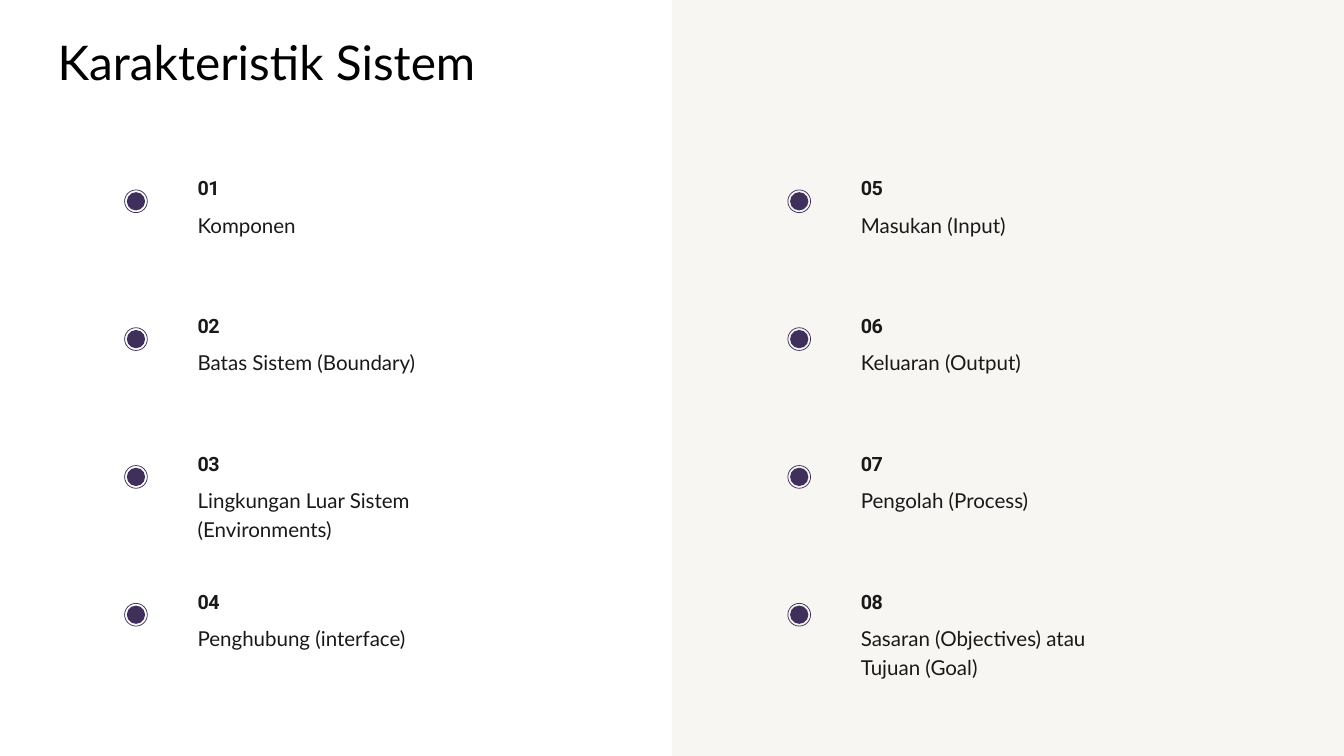
from pptx import Presentation
from pptx.dml.color import RGBColor
from pptx.enum.shapes import MSO_SHAPE
from pptx.enum.text import MSO_AUTO_SIZE
from pptx.util import Cm, Pt

RECTANGLE = MSO_SHAPE.RECTANGLE
OVAL = MSO_SHAPE.OVAL
GROW = MSO_AUTO_SIZE.SHAPE_TO_FIT_TEXT
color = RGBColor.from_string
PURPLE = "3E2F5B"
INK = "191919"

prs = Presentation()
prs.slide_width = Cm(50.8)
prs.slide_height = Cm(28.58)
slide = prs.slides.add_slide(prs.slide_layouts[6])


def add_filled(kind, left, top, width, height, fill):
    shape = slide.shapes.add_shape(kind, Cm(left), Cm(top), Cm(width), Cm(height))
    shape.shadow.inherit = False
    shape.line.fill.background()
    if fill:
        shape.fill.solid()
        shape.fill.fore_color.rgb = color(fill)
    else:
        shape.fill.background()
    return shape


def add_text(text, left, top, width, height, font, size, leading, ink=INK):
    box = slide.shapes.add_textbox(Cm(left), Cm(top), Cm(width), Cm(height))
    frame = box.text_frame
    frame.margin_left = frame.margin_right = 0
    frame.margin_top = frame.margin_bottom = 0
    frame.word_wrap = True
    frame.auto_size = GROW
    frame.text = text
    paragraph = frame.paragraphs[0]
    paragraph.line_spacing = Pt(leading)
    run = paragraph.runs[0]
    run.font.name = font
    run.font.size = Pt(size)
    run.font.color.rgb = color(ink)
    return run


add_filled(RECTANGLE, 25.4, 0, 25.4, 28.58, "F8F6F3")
add_text("Karakteristik Sistem", 2.18, 1.24, 16.97, 2.18, "Lato", 51.2, 61.4, "000000")

characteristics = [
    "Komponen",
    "Batas Sistem (Boundary)",
    "Lingkungan Luar Sistem (Environments)",
    "Penghubung (interface)",
    "Masukan (Input)",
    "Keluaran (Output)",
    "Pengolah (Process)",
    "Sasaran (Objectives) atau Tujuan (Goal)",
]
ROWS = 4
DOT = 0.69
RING = 0.86
TEXT_WIDTH = 10.62

for index, characteristic in enumerate(characteristics):
    column, row = divmod(index, ROWS)
    center_x = 5.14 + column * 25.07
    text_left = center_x + 2.33
    number_top = 6.58 + row * 5.21
    center_y = number_top + 1.03

    add_filled(OVAL, center_x - DOT / 2, center_y - DOT / 2, DOT, DOT, PURPLE)
    ring = add_filled(OVAL, center_x - RING / 2, center_y - RING / 2, RING, RING, None)
    ring.line.color.rgb = color(PURPLE)
    ring.line.width = Pt(0.8)

    number = add_text(f"{index + 1:02}", text_left, number_top, TEXT_WIDTH, 0.93,
                      "Roboto", 21.1, 27.4)
    number.font.bold = True
    number._r.get_or_add_rPr().set("spc", "-60")
    name_height = 2.08 if len(characteristic) > 30 else 0.99
    add_text(characteristic, text_left, number_top + 1.3, TEXT_WIDTH, name_height,
             "Lato", 22, 30.8)

prs.save("out.pptx")
